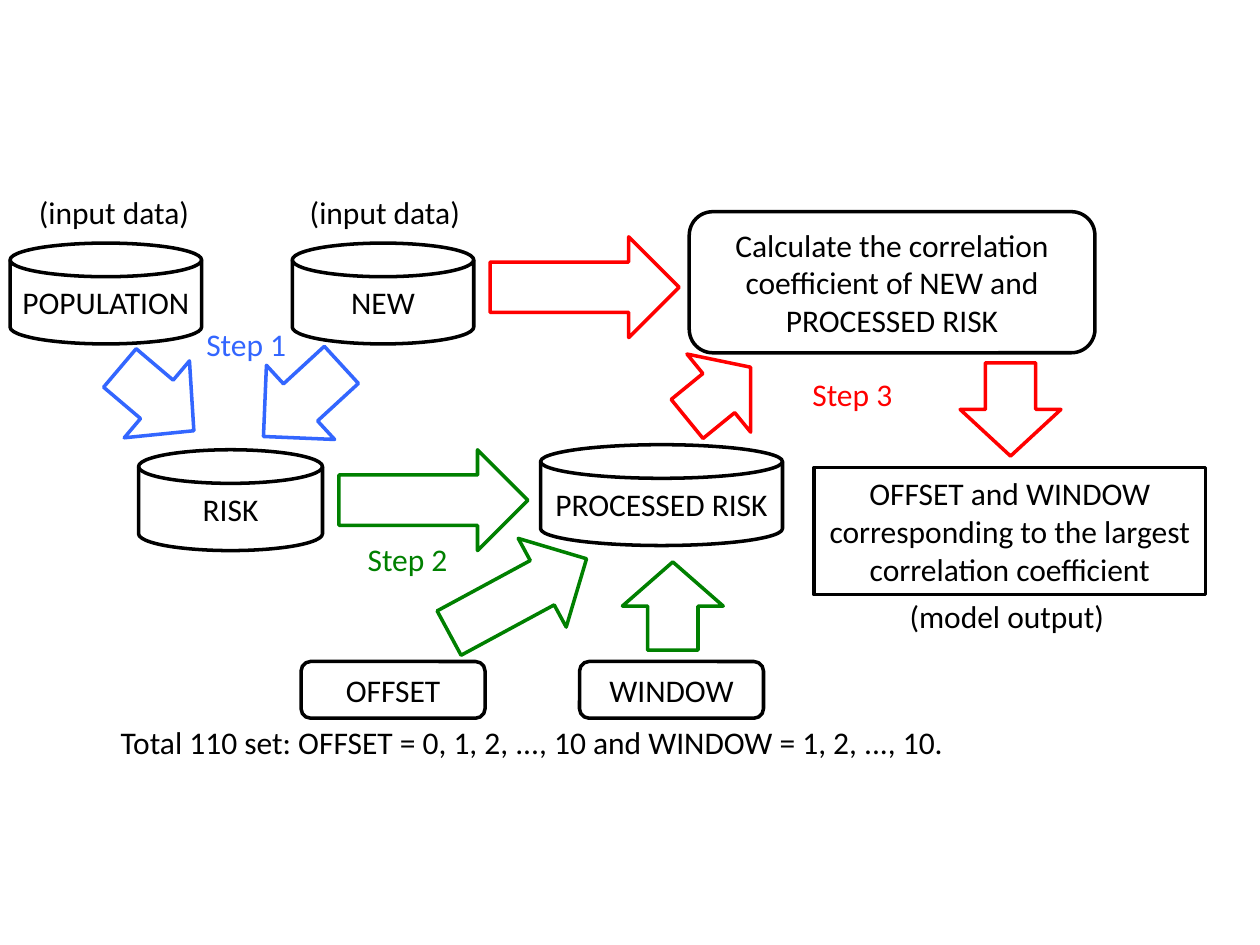
from lxml import etree
from pptx import Presentation
from pptx.dml.color import RGBColor
from pptx.enum.shapes import MSO_SHAPE as Shape
from pptx.enum.text import MSO_ANCHOR as Anchor, PP_ALIGN as Align
from pptx.oxml.ns import qn
from pptx.util import Inches, Pt

COLORS = {"ink": "000000", "paper": "FFFFFF", "step1": "3366FF",
          "step2": "008000", "step3": "FF0000"}
COLUMNS, ROWS = 100, 75
BAND = 8


class Flowchart:
    """Draws flowchart elements on one slide, measured in grid columns and rows."""

    font, size, line_width = "Calibri", Pt(18), Pt(2)

    def __init__(self, prs):
        self.slide = prs.slides.add_slide(prs.slide_layouts[6])
        self.col = prs.slide_width / COLUMNS
        self.row = prs.slide_height / ROWS

    def box(self, x, y, w, h):
        return (round(x * self.col), round(y * self.row),
                round(w * self.col), round(h * self.row))

    def set_text(self, tf, text, color, align):
        tf.word_wrap = True
        p = tf.paragraphs[0]
        p.text, p.alignment = text, align
        p.font.name, p.font.size = self.font, self.size
        p.font.color.rgb = RGBColor.from_string(COLORS[color])
        return p

    def shape(self, kind, x, y, w, h, color="ink"):
        sp = self.slide.shapes.add_shape(kind, *self.box(x, y, w, h))
        sp.shadow.inherit = False
        sp.fill.solid()
        sp.fill.fore_color.rgb = RGBColor.from_string(COLORS["paper"])
        sp.line.color.rgb = RGBColor.from_string(COLORS[color])
        sp.line.width = self.line_width
        return sp

    def node(self, kind, text, x, y, w, h):
        tf = self.shape(kind, x, y, w, h).text_frame
        tf.margin_left = tf.margin_right = Inches(0.05)
        tf.vertical_anchor = Anchor.MIDDLE
        self.set_text(tf, text, "ink", Align.CENTER)

    def store(self, text, x, y, w):
        self.node(Shape.FLOWCHART_MAGNETIC_DISK, text, x, y, w, BAND)

    def arrow(self, color, x, y, length, angle=0):
        self.shape(Shape.RIGHT_ARROW, x, y, length, BAND, color).rotation = angle

    def label(self, text, x, y, w, color="ink", align=Align.LEFT, tab=None):
        tb = self.slide.shapes.add_textbox(*self.box(x, y, w, 4))
        p = self.set_text(tb.text_frame, text, color, align)
        if tab:
            pPr = p._p.get_or_add_pPr()
            tabs = etree.Element(qn("a:tabLst"))
            etree.SubElement(tabs, qn("a:tab"), pos=str(round(tab * self.col)), algn="l")
            pPr.find(qn("a:defRPr")).addprevious(tabs)


prs = Presentation()
prs.slide_width, prs.slide_height = Inches(10), Inches(7.5)
chart = Flowchart(prs)

for color, x, y, length, angle in [
    ("step1", 8.6, 27.7, 7.7, 40.3),
    ("step1", 19.8, 27.8, 8.4, 137.4),
    ("step2", 26.9, 35.7, 15, 0),
    ("step2", 34.9, 43.3, 12.4, 331.6),
    ("step2", 49.9, 44.1, 7, 270),
    ("step3", 53.8, 27.2, 6.5, 320.8),
    ("step3", 38.9, 18.8, 15, 0),
    ("step3", 76.5, 28.5, 7.4, 90),
]:
    chart.arrow(color, x, y, length, angle)

for text, x, y, w in [
    ("POPULATION", 0.8, 19.3, 15.2),
    ("NEW", 23.2, 19.3, 14.4),
    ("RISK", 11, 35.7, 14.6),
    ("PROCESSED RISK", 42.9, 35.3, 19.2),
]:
    chart.store(text, x, y, w)

for text, x in [("OFFSET", 23.9), ("WINDOW", 46)]:
    chart.node(Shape.ROUNDED_RECTANGLE, text, x, 52.5, 14.6, 4.5)
chart.node(Shape.ROUNDED_RECTANGLE,
           "Calculate the correlation coefficient of NEW and PROCESSED RISK",
           54.7, 16.8, 32.2, 11.2)
chart.node(Shape.RECTANGLE,
           "OFFSET and WINDOW corresponding to the largest correlation coefficient",
           64.6, 37.1, 31.1, 10.1)

chart.label("(input data)\t(input data)", 2.1, 14.8, 37.9, tab=21.5)
chart.label("(model output)", 71.2, 46.9, 17.9)
chart.label("Total 110 set: OFFSET = 0, 1, 2, ..., 10 and WINDOW = 1, 2, ..., 10.",
            8.6, 56.9, 67.6)
for step, x, y in [(1, 14.7, 25.3), (2, 27.5, 42.4), (3, 62.8, 29.3)]:
    chart.label(f"Step {step}", x, y, 9.7, f"step{step}", Align.CENTER)

prs.save("out.pptx")
